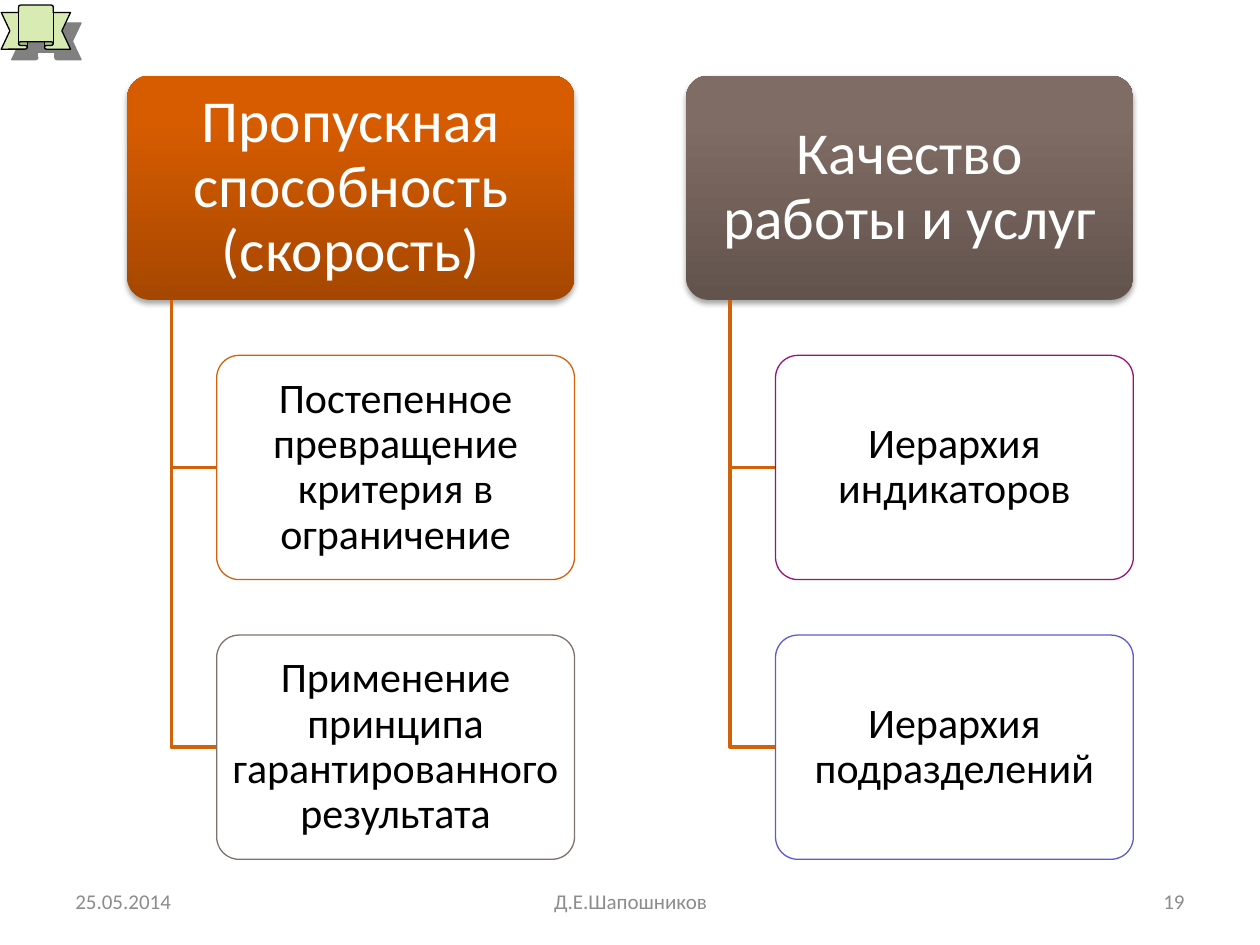
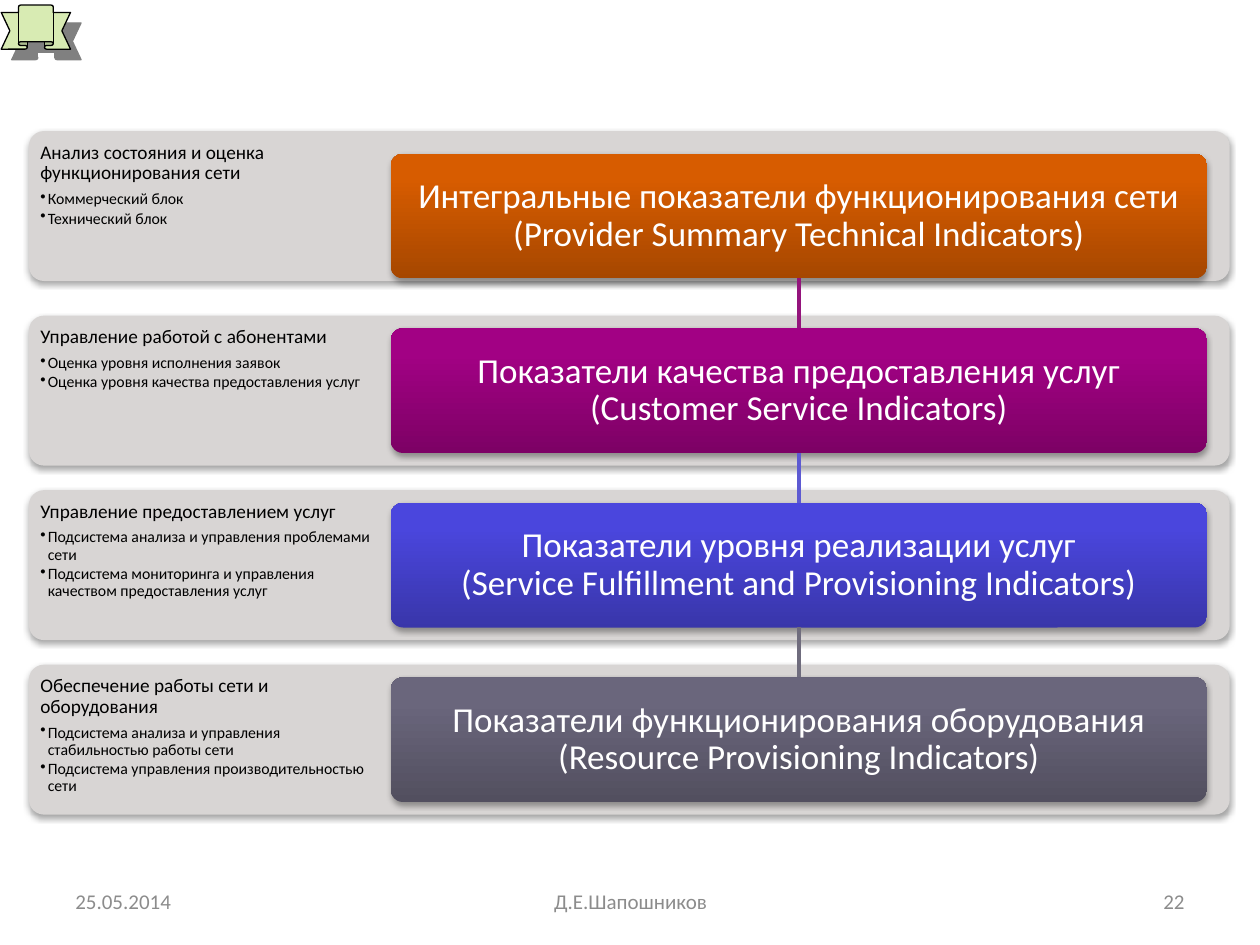
"""Build two slides on network criteria and the hierarchy of indicators."""
import pptx
import pptx.dml.color
import pptx.enum.shapes
import pptx.enum.text
import pptx.oxml
import pptx.oxml.ns
import pptx.util

Inches, Pt = pptx.util.Inches, pptx.util.Pt
RGB = pptx.dml.color.RGBColor.from_string
MSO, ALIGN, ANCHOR = pptx.enum.shapes.MSO_SHAPE, pptx.enum.text.PP_ALIGN, pptx.enum.text.MSO_ANCHOR

COLORS = {
    "orange": "D2610C", "brown": "80716A", "purple": "94147C", "blue": "5D5AD2", "slate": "6F6C7D",
    "band": "D8D5D4", "ribbon": "D8EBB3", "white": "FFFFFF", "black": "000000",
    "footer": "8C8C8C", "ribbon shadow": "808080",
}
GRADIENTS = {
    "orange": ("A64700", "D75C00"), "brown": ("62534D", "7F6C64"), "purple": ("7D0165", "A20184"),
    "blue": ("3936AA", "4A46DD"), "slate": ("524F5F", "6A667C"),
}
SOFT = {"color": "black", "alpha": 35, "blur": 3.1, "dist": 1.8, "angle": 90}
HARD = {"color": "ribbon shadow", "alpha": 100, "blur": 0, "dist": 8.5, "angle": 45}

STYLES = {
    "head": {"size": 34, "color": "white", "p": {"alignment": ALIGN.CENTER, "line_spacing": 0.9}},
    "card": {"size": 24, "color": "black", "p": {"alignment": ALIGN.CENTER, "line_spacing": 0.9}},
    "bar": {"size": 20, "color": "white", "p": {"alignment": ALIGN.CENTER, "line_spacing": 0.9}},
    "topic": {"size": 11, "color": "black",
              "p": {"alignment": ALIGN.LEFT, "line_spacing": 0.9, "space_after": Pt(4)}},
    "bullet": {"size": 9, "color": "black", "bullet": True,
               "p": {"alignment": ALIGN.LEFT, "line_spacing": 0.9, "space_after": Pt(1.4)}},
    "date": {"size": 12, "color": "footer", "p": {"alignment": ALIGN.LEFT}},
    "author": {"size": 12, "color": "footer", "p": {"alignment": ALIGN.CENTER}},
    "number": {"size": 12, "color": "footer", "p": {"alignment": ALIGN.RIGHT}},
}


def write(sp, paragraphs, mx, my, anchor=ANCHOR.MIDDLE):
    tf = sp.text_frame
    frame = {"word_wrap": True, "vertical_anchor": anchor,
             "margin_left": Inches(mx), "margin_right": Inches(mx),
             "margin_top": Inches(my), "margin_bottom": Inches(my)}
    for name, value in frame.items():
        setattr(tf, name, value)
    for i, (text, style_name) in enumerate(paragraphs):
        style = STYLES[style_name]
        p = tf.add_paragraph() if i else tf.paragraphs[0]
        p.text = text
        if style.get("bullet"):
            pPr = p._p.get_or_add_pPr()
            pPr.set("marL", str(Inches(0.06)))
            pPr.set("indent", str(-Inches(0.06)))
            pPr.append(pptx.oxml.parse_xml(f'<a:buChar {pptx.oxml.ns.nsdecls("a")} char="•"/>'))
        for name, value in style["p"].items():
            setattr(p, name, value)
        for r in p.runs:
            for name, value in {"name": "Calibri", "size": Pt(style["size"])}.items():
                setattr(r.font, name, value)
            r.font.color.rgb = RGB(COLORS[style["color"]])


def add_box(s, at, fill=None, gradient=None, line=None, shadow=None, kind=MSO.ROUNDED_RECTANGLE):
    sp = s.shapes.add_shape(kind, *map(Inches, at))
    sp.shadow.inherit = False
    if kind == MSO.ROUNDED_RECTANGLE:
        sp.adjustments[0] = 0.1
    if gradient:
        sp.fill.gradient()
        sp.fill.gradient_angle = 90
        for stop, color, position in zip(sp.fill.gradient_stops, GRADIENTS[gradient], (0, 0.8)):
            stop.color.rgb = RGB(color)
            stop.position = position
    else:
        sp.fill.solid()
        sp.fill.fore_color.rgb = RGB(COLORS[fill])
    if line:
        sp.line.color.rgb = RGB(COLORS[line])
        sp.line.width = Pt(0.75)
    else:
        sp.line.fill.background()
    if shadow:
        effects = sp._element.spPr.find(pptx.oxml.ns.qn("a:effectLst"))
        effects.append(pptx.oxml.parse_xml(
            f'<a:outerShdw {pptx.oxml.ns.nsdecls("a")} blurRad="{Pt(shadow["blur"])}" '
            f'dist="{Pt(shadow["dist"])}" dir="{shadow["angle"] * 60000}" algn="ctr" rotWithShape="0">'
            f'<a:srgbClr val="{COLORS[shadow["color"]]}"><a:alpha val="{shadow["alpha"] * 1000}"/>'
            '</a:srgbClr></a:outerShdw>'))
    return sp


prs = pptx.Presentation()
prs.slide_width, prs.slide_height = Inches(10), Inches(7.5)

slides = []
for number in ("19", "22"):
    s = prs.slides.add_slide(prs.slide_layouts[6])
    add_box(s, (0.01, 0.04, 0.55, 0.35), "ribbon", line="black", shadow=HARD, kind=MSO.UP_RIBBON)
    for text, style, left, width in (("25.05.2014", "date", 0.5, 2.33),
                                     ("Д.Е.Шапошников", "author", 3.42, 3.17),
                                     (number, "number", 7.17, 2.33)):
        sp = s.shapes.add_textbox(Inches(left), Inches(6.95), Inches(width), Inches(0.4))
        write(sp, [(text, style)], 0.1, 0.05)
    slides.append(s)

criteria = [
    ("Пропускная способность (скорость)", "orange",
     [("Постепенное превращение критерия в ограничение", "orange"),
      ("Применение принципа гарантированного результата", "brown")]),
    ("Качество работы и услуг", "brown",
     [("Иерархия индикаторов", "purple"), ("Иерархия подразделений", "blue")]),
]
s = slides[0]
top, height, row_step = 0.6, 1.78, 2.22
for i, (head, gradient, cards) in enumerate(criteria):
    left = 1.01 + 4.435 * i
    trunk, card_left = left + 0.35, left + 0.71
    sp = add_box(s, (left, top, 3.55, height), gradient=gradient, shadow=SOFT)
    write(sp, [(head, "head")], 0.07, 0.05)
    for k, (text, line) in enumerate(cards, 1):
        card_top = top + row_step * k
        middle = card_top + height / 2
        builder = s.shapes.build_freeform(Inches(trunk), Inches(top + height))
        builder.add_line_segments([(Inches(trunk), Inches(middle)),
                                   (Inches(card_left), Inches(middle))], close=False)
        branch = builder.convert_to_shape()
        branch.shadow.inherit = False
        branch.fill.background()
        branch.line.color.rgb = RGB(COLORS["orange"])
        branch.line.width = Pt(2)
        sp = add_box(s, (card_left, card_top, 2.84, height), "white", line=line)
        write(sp, [(text, "card")], 0.05, 0.03)

levels = [
    ("Интегральные показатели функционирования сети\v(Provider Summary Technical Indicators)", "orange",
     "Анализ состояния и оценка функционирования сети",
     ["Коммерческий блок", "Технический блок"]),
    ("Показатели качества предоставления услуг\v(Customer Service Indicators)", "purple",
     "Управление работой с абонентами",
     ["Оценка уровня исполнения заявок", "Оценка уровня качества предоставления услуг"]),
    ("Показатели уровня реализации услуг\v(Service Fulfillment and Provisioning Indicators)", "blue",
     "Управление предоставлением услуг",
     ["Подсистема анализа и управления проблемами сети",
      "Подсистема мониторинга и управления качеством предоставления услуг"]),
    ("Показатели функционирования оборудования\v(Resource Provisioning Indicators)", "slate",
     "Обеспечение работы сети и оборудования",
     ["Подсистема анализа и управления стабильностью работы сети",
      "Подсистема управления производительностью сети"]),
]
s = slides[1]
previous = None
for i, (title, color, topic, bullets) in enumerate(levels):
    bar_top = 1.22 + 1.385 * i
    band_top = bar_top - (0.1 if i else 0.18)
    add_box(s, (0.23, band_top, 9.53, 1.19), "band", shadow=SOFT)
    sp = s.shapes.add_textbox(Inches(0.23), Inches(band_top), Inches(2.86), Inches(1.19))
    write(sp, [(topic, "topic")] + [(b, "bullet") for b in bullets], 0.09, 0.09, ANCHOR.TOP)
    bar = add_box(s, (3.1, bar_top, 6.48, 0.99), gradient=color, shadow=SOFT)
    write(bar, [(title, "bar")], 0.08, 0.08)
    if previous is not None:
        link = s.shapes.add_connector(pptx.enum.shapes.MSO_CONNECTOR.STRAIGHT, 0, 0, 0, 0)
        link.begin_connect(previous, 2)
        link.end_connect(bar, 0)
        link.line.color.rgb = RGB(COLORS[color])
        link.line.width = Pt(2)
        link._element.spPr.append(pptx.oxml.parse_xml(f'<a:effectLst {pptx.oxml.ns.nsdecls("a")}/>'))
    previous = bar

prs.save("out.pptx")
